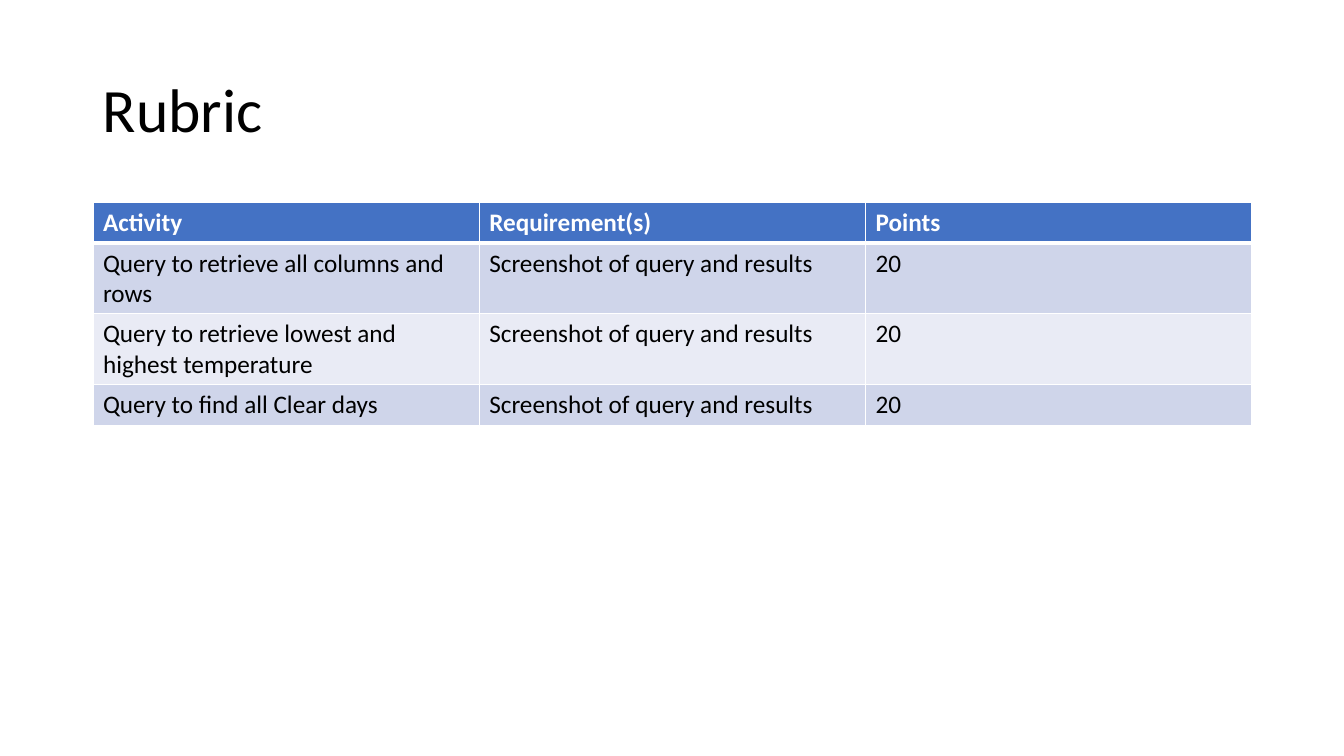
from pptx import Presentation
from pptx.dml.color import RGBColor
from pptx.enum.text import MSO_ANCHOR as Anchor
from pptx.oxml import parse_xml
from pptx.oxml.ns import nsdecls
from pptx.util import Emu, Pt

# Content
TITLE = "Rubric"
HEADER = ("Activity", "Requirement(s)", "Points")
ACTIVITIES = [
    ("Query to retrieve all columns and rows", "Screenshot of query and results", "20"),
    ("Query to retrieve lowest and highest temperature", "Screenshot of query and results", "20"),
    ("Query to find all Clear days", "Screenshot of query and results", "20"),
]

# Look
FONT = "Calibri"
COLORS = {"text": "000000", "white": "FFFFFF", "header": "4472C4",
          "odd": "CFD5EA", "even": "E9EBF5"}

# Layout in px
PX = 914400 / 100.8
SLIDE_SIZE = (1344, 756)
TITLE_BOX = (93, 40, 1159, 146)
TABLE_LEFT, TABLE_TOP = 93, 202
TABLE_WIDTH, ROW_HEIGHT = 1159, 41


def px(length):
    return Emu(round(length * PX))


def color(name):
    return RGBColor.from_string(COLORS[name])


def add_text(para, text, size, color_name, bold=False):
    span = para.add_run()
    span.text = text
    span.font.name = FONT
    span.font.size = Pt(size)
    span.font.bold = bold
    span.font.color.rgb = color(color_name)


def add_borders(cell, widths):
    properties = cell._tc.get_or_add_tcPr()
    for place, (side, width) in enumerate(widths.items()):
        properties.insert(place, parse_xml(
            f'<a:ln{side} {nsdecls("a")} w="{Pt(width)}"><a:solidFill>'
            f'<a:srgbClr val="{COLORS["white"]}"/></a:solidFill></a:ln{side}>'))


def add_title(page):
    box = page.shapes.add_textbox(*map(px, TITLE_BOX))
    frame = box.text_frame
    frame.word_wrap = True
    frame.vertical_anchor = Anchor.MIDDLE
    para = frame.paragraphs[0]
    para.line_spacing = 0.9
    add_text(para, TITLE, 44, "text")


def add_rubric(page):
    rows = [HEADER, *ACTIVITIES]
    table = page.shapes.add_table(
        len(rows), len(HEADER), px(TABLE_LEFT), px(TABLE_TOP),
        px(TABLE_WIDTH), px(ROW_HEIGHT * len(rows))).table
    for r, row in enumerate(rows):
        is_header = r == 0
        fill = "header" if is_header else ("odd" if r % 2 else "even")
        # The rule below the header is thicker on both sides of the edge
        widths = {"L": 1, "R": 1, "T": 3 if r == 1 else 1, "B": 3 if is_header else 1}
        for c, text in enumerate(row):
            cell = table.cell(r, c)
            cell.fill.solid()
            cell.fill.fore_color.rgb = color(fill)
            add_borders(cell, widths)
            add_text(cell.text_frame.paragraphs[0], text, 18,
                     "white" if is_header else "text", is_header)


def main():
    deck = Presentation()
    deck.slide_width, deck.slide_height = map(px, SLIDE_SIZE)
    page = deck.slides.add_slide(deck.slide_layouts[6])
    add_title(page)
    add_rubric(page)
    deck.save("out.pptx")


if __name__ == "__main__":
    main()
